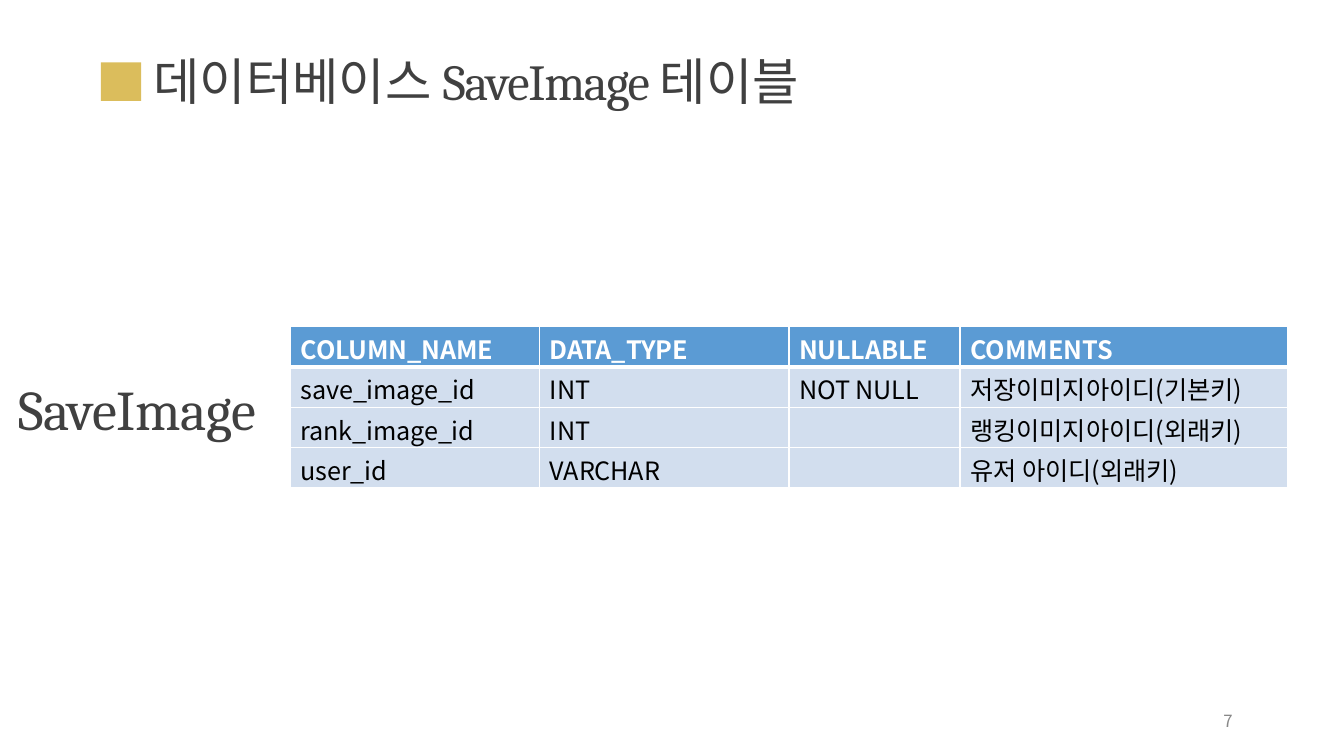
from lxml.etree import SubElement
from pptx import Presentation
from pptx.dml.color import RGBColor
from pptx.enum.shapes import MSO_SHAPE
from pptx.enum.text import MSO_ANCHOR, MSO_AUTO_SIZE, PP_ALIGN
from pptx.oxml.ns import qn
from pptx.util import Pt

WHITE = RGBColor(0xFF, 0xFF, 0xFF)
BLACK = RGBColor(0, 0, 0)
DARK_GRAY = RGBColor(0x40, 0x40, 0x40)
PAGE_GRAY = RGBColor(0x88, 0x88, 0x88)
HEADER_BLUE = RGBColor(0x5B, 0x9B, 0xD4)
ROW_BLUE = RGBColor(0xD2, 0xDE, 0xEE)
GOLD = RGBColor(0xDB, 0xBD, 0x5C)

KOREAN_FONT = "Noto Sans CJK KR"
SERIF_FONT = "Cambria"

# Title pieces: text, font, character spacing
TITLE = [
    ("데이터베이스 ", KOREAN_FONT, 0),
    ("SaveImage ", SERIF_FONT, -0.9),
    ("테이블", KOREAN_FONT, 0),
]
TABLE_NAME = "SaveImage"
PAGE_NUMBER = "7"
ROWS = [
    ("COLUMN_NAME", "DATA_TYPE", "NULLABLE", "COMMENTS"),
    ("save_image_id", "INT", "NOT NULL", "저장이미지아이디(기본키)"),
    ("rank_image_id", "INT", "", "랭킹이미지아이디(외래키)"),
    ("user_id", "VARCHAR", "", "유저 아이디(외래키)"),
]
COLUMN_WIDTHS = (178, 178, 122.2, 234)
ROW_HEIGHT = 28.8
TABLE_LEFT, TABLE_TOP = 207.6, 233.4


def style_run(run, font_name, size, color, bold=False, spacing=0):
    font = run.font
    font.name, font.size, font.bold = font_name, Pt(size), bold
    font.color.rgb = color
    properties = font._element
    SubElement(properties, qn("a:ea")).set("typeface", font_name)
    if spacing:
        properties.set("spc", str(round(spacing * 100)))


def prepare_frame(text_frame, top_inset, space_before):
    text_frame.auto_size = MSO_AUTO_SIZE.NONE
    text_frame.word_wrap = True
    text_frame.vertical_anchor = MSO_ANCHOR.TOP
    text_frame.margin_left = text_frame.margin_right = text_frame.margin_bottom = 0
    text_frame.margin_top = Pt(top_inset)
    paragraph = text_frame.paragraphs[0]
    paragraph.alignment = PP_ALIGN.LEFT
    paragraph.space_before = Pt(space_before)
    return paragraph


def indent(paragraph, points):
    properties = paragraph._p.get_or_add_pPr()
    properties.set("marL", str(Pt(points)))
    properties.set("indent", "0")


def add_label(slide, text, box, insets, font_name, size, color, spacing=0):
    """Add one line of text; insets are top inset, space before and indent."""
    top_inset, space_before, left_indent = insets
    text_box = slide.shapes.add_textbox(*map(Pt, box))
    text_box.text_frame.text = text
    paragraph = prepare_frame(text_box.text_frame, top_inset, space_before)
    indent(paragraph, left_indent)
    style_run(paragraph.runs[0], font_name, size, color, spacing=spacing)


def set_borders(cell, widths):
    """Draw white borders; widths are left, right, top and bottom in points."""
    properties = cell._tc.get_or_add_tcPr()
    for position, (side, width) in enumerate(zip(("lnL", "lnR", "lnT", "lnB"), widths)):
        line = SubElement(properties, qn("a:" + side), w=str(Pt(width)))
        fill = SubElement(line, qn("a:solidFill"))
        SubElement(fill, qn("a:srgbClr"), val=str(WHITE))
        properties.insert(position, line)


def add_title(slide):
    title = slide.shapes.title
    title.left, title.top, title.width, title.height = map(Pt, (108.7, 34.6, 631.4, 45.4))
    paragraph = prepare_frame(title.text_frame, 0.9, 1)
    indent(paragraph, 0.9)
    for text, font_name, spacing in TITLE:
        run = paragraph.add_run()
        run.text = text
        style_run(run, font_name, 36, DARK_GRAY, spacing=spacing)


def add_column_table(slide):
    frame = slide.shapes.add_table(
        len(ROWS), len(COLUMN_WIDTHS), Pt(TABLE_LEFT), Pt(TABLE_TOP),
        Pt(sum(COLUMN_WIDTHS)), Pt(ROW_HEIGHT * len(ROWS)))
    table = frame.table
    for column, width in zip(table.columns, COLUMN_WIDTHS):
        column.width = Pt(width)
    for row_index, texts in enumerate(ROWS):
        table.rows[row_index].height = Pt(ROW_HEIGHT)
        is_header = row_index == 0
        for column_index, text in enumerate(texts):
            cell = table.cell(row_index, column_index)
            cell.margin_left = cell.margin_right = cell.margin_bottom = 0
            cell.margin_top = Pt(2.5)
            cell.fill.solid()
            cell.fill.fore_color.rgb = HEADER_BLUE if is_header else ROW_BLUE
            set_borders(cell, (1, 1, 3 if row_index == 1 else 1, 3 if is_header else 1))
            cell.text_frame.text = text
            paragraph = cell.text_frame.paragraphs[0]
            paragraph.space_before = Pt(3.2)
            indent(paragraph, 7.2)
            for run in paragraph.runs:
                style_run(run, KOREAN_FONT, 18, WHITE if is_header else BLACK,
                          bold=is_header, spacing=-0.1 if column_index < 3 else 0)


def add_title_marker(slide):
    marker = slide.shapes.add_shape(
        MSO_SHAPE.RECTANGLE, Pt(72), Pt(44.6), Pt(28.8), Pt(27.4))
    marker.shadow.inherit = False
    marker.fill.solid()
    marker.fill.fore_color.rgb = GOLD
    marker.line.fill.background()


def main():
    presentation = Presentation()
    presentation.slide_width, presentation.slide_height = Pt(960), Pt(540)
    slide = presentation.slides.add_slide(presentation.slide_layouts[5])
    add_title(slide)
    add_column_table(slide)
    add_label(slide, PAGE_NUMBER, (871.9, 505.4, 17.3, 18), (2, 2, 2),
              KOREAN_FONT, 12, PAGE_GRAY)
    add_label(slide, TABLE_NAME, (12.2, 266.4, 195.8, 49.7), (0.9, 0.9, 0.9),
              SERIF_FONT, 40, DARK_GRAY, spacing=-0.3)
    add_title_marker(slide)
    presentation.save("out.pptx")


if __name__ == "__main__":
    main()
